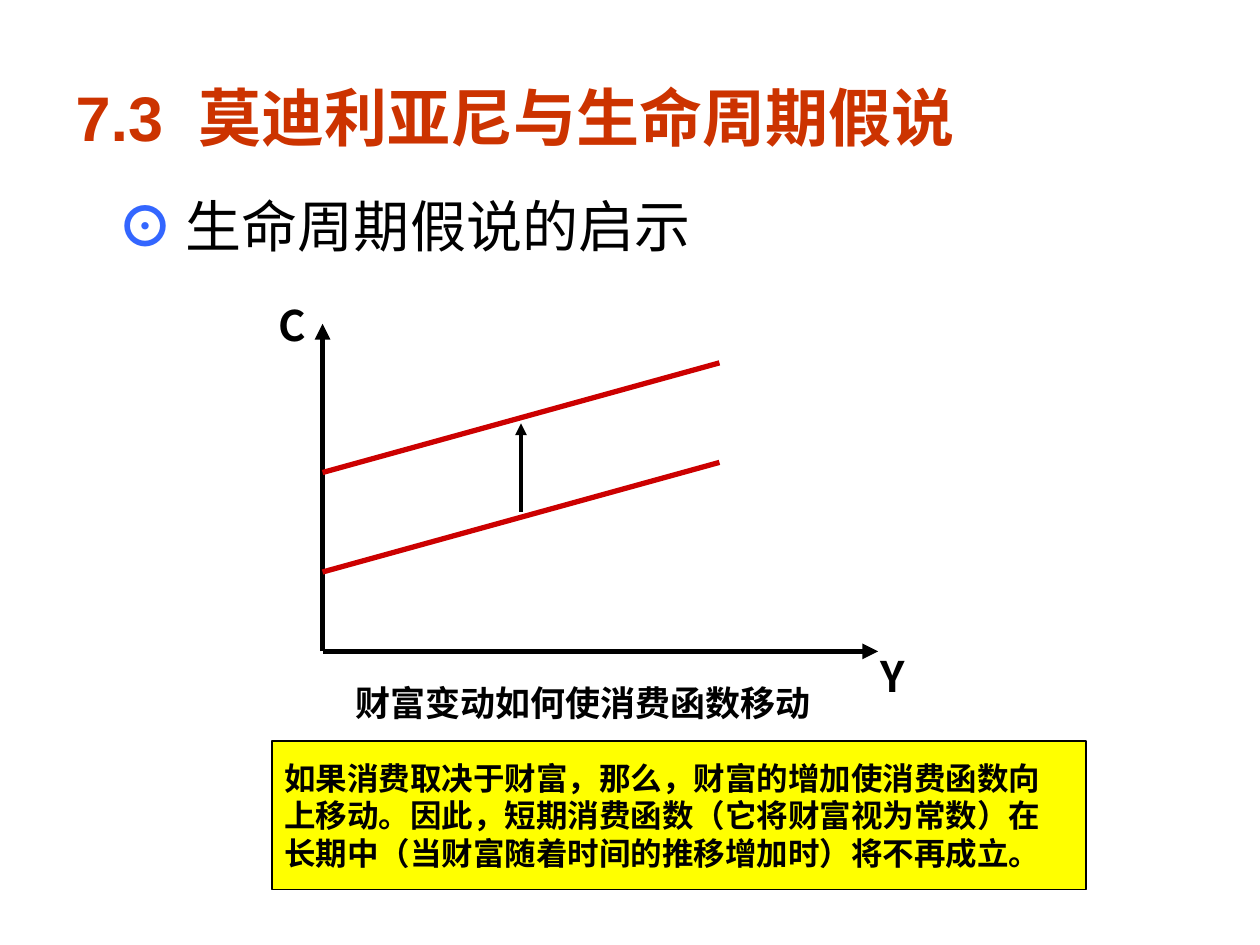
import dataclasses
import pptx
import pptx.dml.color
import pptx.enum.shapes
import pptx.enum.text
import pptx.oxml
import pptx.oxml.ns
import pptx.util
from pptx.util import Inches

ALIGN = pptx.enum.text.PP_ALIGN
ANCHOR = pptx.enum.text.MSO_ANCHOR


@dataclasses.dataclass(frozen=True)
class Theme:
    latin: str = "Arial"
    asian: str = "Noto Sans CJK SC"
    black: str = "000000"
    title: str = "CC3300"
    mark: str = "3366FF"
    curve: str = "CC0000"
    note: str = "FFFF00"
    head: int = 36
    body: int = 32
    label: int = 24
    cap: int = 20
    small: int = 18


T = Theme()


def rgb(code):
    return pptx.dml.color.RGBColor.from_string(code)


def write(shape, lines, size, color=T.black, bold=True, font=T.latin,
          align=ALIGN.LEFT, anchor=ANCHOR.MIDDLE, wrap=False):
    """Each line is a string or a list of (text, overrides) runs."""
    frame = shape.text_frame
    frame.auto_size = pptx.enum.text.MSO_AUTO_SIZE.NONE
    frame.word_wrap = wrap
    frame.vertical_anchor = anchor
    for i, line in enumerate(lines):
        para = frame.add_paragraph() if i else frame.paragraphs[0]
        para.alignment = align
        para.space_before = pptx.util.Pt(0)
        for text, own in [(line, {})] if isinstance(line, str) else line:
            run = para.add_run()
            run.text = text
            run.font.size = pptx.util.Pt(size)
            run.font.bold = own.get("bold", bold)
            run.font.color.rgb = rgb(own.get("color", color))
            run.font.name = font
            props = run.font._element
            asian = pptx.oxml.parse_xml(
                f'<a:ea {pptx.oxml.ns.nsdecls("a")} typeface="{T.asian}"/>')
            props.find(pptx.oxml.ns.qn("a:latin")).addnext(asian)
            if "track" in own:
                props.set("spc", str(own["track"] * 100))


def place(shape, box):
    shape.left, shape.top, shape.width, shape.height = map(Inches, box)
    return shape


def label(slide, box, text, size, **form):
    write(slide.shapes.add_textbox(*map(Inches, box)), [text], size, **form)


def line(slide, start, end, color, width=3, arrow=False):
    item = slide.shapes.add_connector(
        pptx.enum.shapes.MSO_CONNECTOR.STRAIGHT,
        *map(Inches, (*start, *end)))
    item.line.color.rgb = rgb(color)
    item.line.width = pptx.util.Pt(width)
    space = pptx.oxml.ns.nsdecls("a")
    if arrow:
        item.line._get_or_add_ln().append(
            pptx.oxml.parse_xml(f'<a:tailEnd {space} type="triangle"/>'))
    item._element.spPr.append(pptx.oxml.parse_xml(f"<a:effectLst {space}/>"))


def header(slide, box):
    # The single space is tracked out to set the number apart
    write(place(slide.shapes.title, box),
          [[("7.3", {}), (" ", {"track": 10}), ("莫迪利亚尼与生命周期假说", {})]],
          T.head, color=T.title, wrap=True)


def topic(slide, box):
    body = place(slide.placeholders[1], box)
    write(body, [[("⊙ ", {"color": T.mark}),
                  ("生命周期假说的启示", {"bold": False})]],
          T.body, anchor=ANCHOR.TOP)
    props = body.text_frame.paragraphs[0]._p.get_or_add_pPr()
    props.set("marL", "0")
    props.set("indent", "0")
    props.append(pptx.oxml.parse_xml(
        f'<a:buNone {pptx.oxml.ns.nsdecls("a")}/>'))


def graph(slide, box):
    left, top, wide, high = box
    base = top + high
    # Axes
    line(slide, (left, base), (left + wide, base), T.black, arrow=True)
    line(slide, (left, base), (left, top), T.black, arrow=True)
    # Consumption before and after the shift
    run, rise = 3.15, 0.87
    for cut in (0.63, 1.42):
        line(slide, (left, base - cut), (left + run, base - cut - rise),
             T.curve)
    # Upward shift
    mid = left + run / 2
    line(slide, (mid, base - 1.11), (mid, base - 1.81), T.black,
         width=2.25, arrow=True)
    # Axis names and caption
    form = dict(font=T.asian, align=ALIGN.CENTER)
    label(slide, (left - 0.71, top - 0.31, 0.94, 0.63), "C", T.label, **form)
    label(slide, (left + 4.17, base - 0.08, 0.71, 0.55), "Y", T.label, **form)
    label(slide, (left + 0.16, base + 0.19, 3.84, 0.43),
          "财富变动如何使消费函数移动", T.cap, anchor=ANCHOR.TOP)


def note(slide, box):
    item = slide.shapes.add_shape(
        pptx.enum.shapes.MSO_SHAPE.RECTANGLE, *map(Inches, box))
    item.shadow.inherit = False
    item.fill.solid()
    item.fill.fore_color.rgb = rgb(T.note)
    item.line.color.rgb = rgb(T.black)
    item.line.width = pptx.util.Pt(0.75)
    write(item, ["如果消费取决于财富，那么，财富的增加使消费函数向",
                 "上移动。因此，短期消费函数（它将财富视为常数）在",
                 "长期中（当财富随着时间的推移增加时）将不再成立。"],
          T.small, wrap=True)


def main():
    deck = pptx.Presentation()
    deck.slide_width, deck.slide_height = Inches(10), Inches(7.5)
    slide = deck.slides.add_slide(deck.slide_layouts[1])
    header(slide, (0.5, 0.3, 9, 1.25))
    topic(slide, (0.83, 1.47, 4.82, 0.64))
    graph(slide, (2.56, 2.57, 4.41, 2.6))
    note(slide, (2.16, 5.88, 6.46, 1.18))
    deck.save("out.pptx")


if __name__ == "__main__":
    main()
